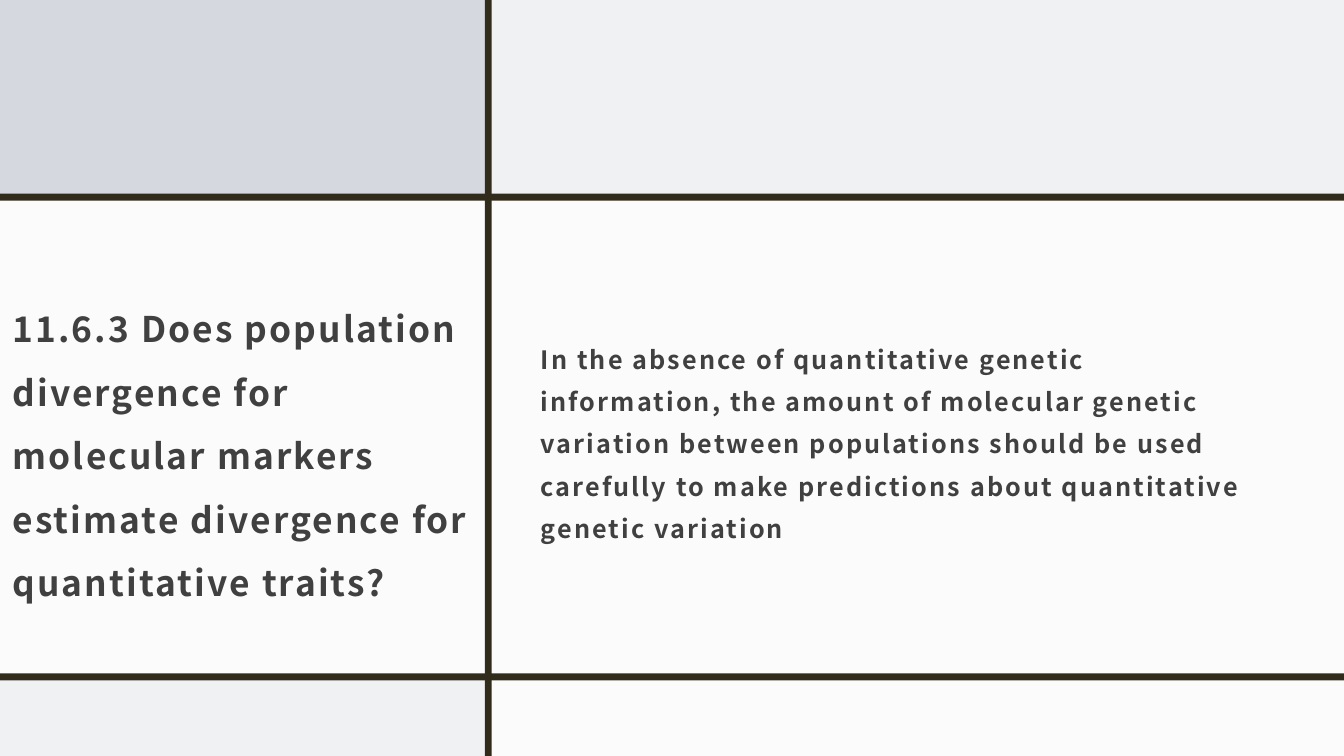
"""Build a slide with a question on the left and its answer on the right, divided by dark bars."""
import pptx
import pptx.dml.color
import pptx.enum.shapes
import pptx.enum.text
import pptx.oxml
import pptx.oxml.ns
import pptx.util
from pptx.util import Pt

RGBColor = pptx.dml.color.RGBColor
PALE_GREY = RGBColor(0xF0, 0xF1, 0xF3)
BLUE_GREY = RGBColor(0xD5, 0xD8, 0xDE)
WHITE = RGBColor(0xFF, 0xFF, 0xFF)
DARK_BROWN = RGBColor(0x31, 0x2B, 0x1C)
TEXT_GREY = RGBColor(0x40, 0x40, 0x40)

FONT = "Noto Sans CJK JP"
WIDTH, HEIGHT = 960, 540
BAR = 5
COLUMN_X, TOP_BAR_Y, BOTTOM_BAR_Y = 346.3, 138.3, 481

QUESTION = (
    "11.6.3 Does population divergence for molecular markers "
    "estimate divergence for quantitative traits?"
)
ANSWER = (
    "In the absence of quantitative genetic information, the amount of molecular "
    "genetic variation between populations should be used carefully to make "
    "predictions about quantitative genetic variation"
)


def add_panel(slide, left, top, width, height, color, opacity=100):
    """Add a borderless rectangle, optionally see-through."""
    shape = slide.shapes.add_shape(
        pptx.enum.shapes.MSO_SHAPE.RECTANGLE, Pt(left), Pt(top), Pt(width), Pt(height)
    )
    shape.shadow.inherit = False
    shape.line.fill.background()
    shape.fill.solid()
    shape.fill.fore_color.rgb = color
    if opacity < 100:
        color_element = shape.fill._xPr.find(".//" + pptx.oxml.ns.qn("a:srgbClr"))
        alpha = pptx.oxml.parse_xml(
            f'<a:alpha {pptx.oxml.ns.nsdecls("a")} val="{opacity * 1000}"/>'
        )
        color_element.append(alpha)


def add_statement(slide, left, top, width, height, text, size, line_spacing, space_before=0):
    """Add a wrapped, vertically centred bold text with wide letter spacing."""
    box = slide.shapes.add_textbox(Pt(left), Pt(top), Pt(width), Pt(height))
    frame = box.text_frame
    frame.word_wrap = True
    frame.vertical_anchor = pptx.enum.text.MSO_ANCHOR.MIDDLE
    frame.margin_left = frame.margin_right = frame.margin_top = Pt(9)
    frame.margin_bottom = Pt(7.2)
    paragraph = frame.paragraphs[0]
    paragraph.line_spacing = line_spacing
    paragraph.space_before = Pt(space_before)
    paragraph.font.name = FONT
    paragraph.font.size = Pt(size)
    paragraph.font.bold = True
    paragraph.font.color.rgb = TEXT_GREY
    run = paragraph.add_run()
    run.text = text
    run._r.get_or_add_rPr().set("spc", "150")


def main():
    """Create the presentation and save it."""
    presentation = pptx.Presentation()
    presentation.slide_width, presentation.slide_height = Pt(WIDTH), Pt(HEIGHT)
    slide = presentation.slides.add_slide(presentation.slide_layouts[6])
    slide.background.fill.solid()
    slide.background.fill.fore_color.rgb = PALE_GREY

    add_panel(slide, 0, 139, WIDTH, 344, WHITE, opacity=75)
    add_panel(slide, 0, 0, 348.5, 141.8, BLUE_GREY)
    add_panel(slide, COLUMN_X, 485.3, WIDTH - COLUMN_X, HEIGHT - 485.3, WHITE, opacity=75)

    for bar_y in (TOP_BAR_Y, BOTTOM_BAR_Y):
        add_panel(slide, 0, bar_y, WIDTH, BAR, DARK_BROWN)
    add_panel(slide, COLUMN_X, 0, BAR, HEIGHT, DARK_BROWN)

    add_statement(slide, 0, 149, COLUMN_X, 336.2, QUESTION, 25.2, 1.5)
    add_statement(slide, 377.3, 168.5, 532, 286.5, ANSWER, 18, 1.4, space_before=9.3)
    presentation.save("out.pptx")


if __name__ == "__main__":
    main()
